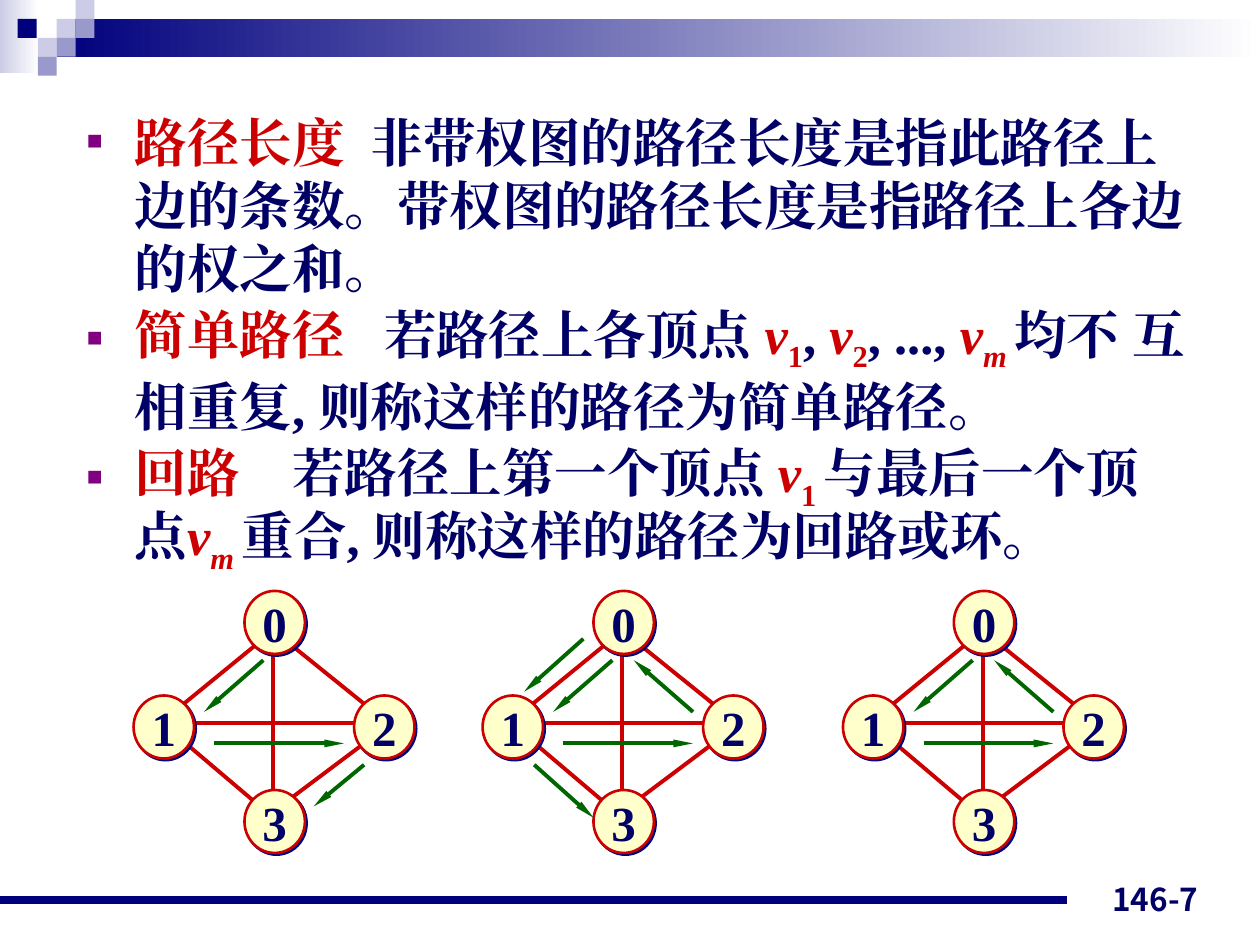
from typing import NamedTuple

from lxml.etree import SubElement
from pptx import Presentation
from pptx.dml.color import RGBColor
from pptx.enum.shapes import MSO_CONNECTOR, MSO_SHAPE
from pptx.enum.text import MSO_ANCHOR, PP_ALIGN
from pptx.oxml.ns import qn
from pptx.util import Inches, Pt

COLORS = {
    "navy": "00007D", "text": "000066", "red": "CC0000", "green": "006600",
    "cream": "FFFFCC", "pale": "CCCCE6", "mid": "9999CC", "white": "FFFFFF",
    "bullet": "800080",
}
SERIF = "Times New Roman"
SANS = "Noto Sans CJK JP"
TILE = 0.15
NODE_W, NODE_H = 0.48, 0.5


class Band(NamedTuple):
    x: float
    y: float
    w: float
    h: float
    start: str


class Tile(NamedTuple):
    x: float
    y: float
    color: str


class Segment(NamedTuple):
    x1: float
    y1: float
    x2: float
    y2: float


class Node(NamedTuple):
    label: str
    x: float
    y: float


class Span(NamedTuple):
    text: str
    color: str = "text"
    italic: bool = False
    sub: bool = False


class Entry(NamedTuple):
    term: str
    gap: float
    spans: list[Span]


class Graph(NamedTuple):
    dx: float
    arrows: list[Segment]


BANDS = [Band(0, 0, 0.31, 0.58, "pale"), Band(0.45, 0.15, 9.55, 0.3, "navy")]
TILES = [
    Tile(0.45, 0.15, "pale"), Tile(0.6, 0, "pale"), Tile(0.6, 0.15, "mid"),
    Tile(0.3, 0.3, "pale"), Tile(0.14, 0.15, "navy"), Tile(0.45, 0.3, "mid"),
    Tile(0.3, 0.45, "mid"),
]
V = Span("v", "red", italic=True)
M = Span("m ", "red", italic=True, sub=True)
ENTRIES = [
    Entry("路径长度", 7.5, [
        Span("非带权图的路径长度是指此路径上边的条数。带权图的路径长度是指路径上各边的权之和。"),
    ]),
    Entry("简单路径", 15, [
        Span("若路径上各顶点 "), V, Span("1", "red", sub=True), Span(", "),
        V, Span("2", "red", sub=True), Span(", ..., "), V, M,
        Span("均不 互相重复, 则称这样的路径为简单路径。"),
    ]),
    Entry("回路", 22.5, [
        Span("若路径上第一个顶点 "), V, Span("1 ", "red", sub=True),
        Span("与最后一个顶点"), V, M, Span("重合, 则称这样的路径为回路或环。"),
    ]),
]
NODES = [Node("1", 1.06, 5.52), Node("2", 2.81, 5.52),
         Node("0", 1.94, 4.69), Node("3", 1.94, 6.27)]
EDGES = [
    Segment(1.38, 5.82, 2.17, 6.49), Segment(2.25, 5.07, 2.97, 5.65),
    Segment(2.89, 5.9, 2.33, 6.32), Segment(2.09, 5.07, 1.38, 5.65),
    Segment(1.46, 5.74, 2.89, 5.74), Segment(2.17, 5.1, 2.17, 6.57),
]
FROM_0_TO_1 = Segment(2.09, 5.24, 1.62, 5.65)
FROM_1_TO_2 = Segment(1.7, 5.9, 2.73, 5.9)
FROM_2_TO_0 = Segment(2.73, 5.65, 2.26, 5.24)
GRAPHS = [
    Graph(0, [FROM_0_TO_1, FROM_1_TO_2, Segment(2.89, 6.07, 2.49, 6.4)]),
    Graph(2.77, [FROM_0_TO_1, FROM_1_TO_2, Segment(1.86, 5.07, 1.39, 5.49),
                 FROM_2_TO_0, Segment(1.47, 6.07, 1.94, 6.49)]),
    Graph(5.63, [FROM_0_TO_1, FROM_1_TO_2, FROM_2_TO_0]),
]


def rgb(name: str) -> RGBColor:
    return RGBColor.from_string(COLORS[name])


def style_font(font, size: float, color: str, name: str = SERIF) -> None:
    font.size = Pt(size)
    font.bold = True
    font.name = name
    font.color.rgb = rgb(color)


def set_east_asian(r, name: str) -> None:
    SubElement(r.font._element, qn("a:ea"), typeface=name)


def add_box(s, kind, x: float, y: float, w: float, h: float):
    sp = s.shapes.add_shape(kind, Inches(x), Inches(y), Inches(w), Inches(h))
    sp.shadow.inherit = False
    sp.line.fill.background()
    return sp


def add_band(s, band: Band) -> None:
    sp = add_box(s, MSO_SHAPE.RECTANGLE, band.x, band.y, band.w, band.h)
    sp.fill.gradient()
    sp.fill.gradient_angle = 0
    for stop, color in zip(sp.fill.gradient_stops, (band.start, "white")):
        stop.color.rgb = rgb(color)


def add_tile(s, tile: Tile) -> None:
    sp = add_box(s, MSO_SHAPE.RECTANGLE, tile.x, tile.y, TILE, TILE)
    sp.fill.solid()
    sp.fill.fore_color.rgb = rgb(tile.color)


def add_line(s, seg: Segment, color: str, width: float = 2.25,
             dx: float = 0, arrow: bool = False) -> None:
    c = s.shapes.add_connector(
        MSO_CONNECTOR.STRAIGHT, Inches(seg.x1 + dx), Inches(seg.y1),
        Inches(seg.x2 + dx), Inches(seg.y2))
    c.line.color.rgb = rgb(color)
    c.line.width = Pt(width)
    if arrow:
        SubElement(c.line._get_or_add_ln(), qn("a:tailEnd"),
                   type="triangle", w="sm", len="lg")
    SubElement(c._element.spPr, qn("a:effectLst"))


def add_node(s, node: Node, dx: float) -> None:
    sp = add_box(s, MSO_SHAPE.OVAL, node.x + dx, node.y, NODE_W, NODE_H)
    sp.fill.solid()
    sp.fill.fore_color.rgb = rgb("cream")
    sp.line.color.rgb = rgb("red")
    sp.line.width = Pt(1.5)
    effects = sp._element.spPr.find(qn("a:effectLst"))
    shadow = SubElement(effects, qn("a:outerShdw"), dist=str(Pt(1.4)),
                        dir="2700000", algn="ctr", rotWithShape="0")
    SubElement(shadow, qn("a:srgbClr"), val=COLORS["navy"])
    tf = sp.text_frame
    tf.margin_left = tf.margin_right = tf.margin_top = tf.margin_bottom = 0
    tf.word_wrap = False
    tf.vertical_anchor = MSO_ANCHOR.MIDDLE
    tf.text = node.label
    p = tf.paragraphs[0]
    p.alignment = PP_ALIGN.CENTER
    style_font(p.runs[0].font, 28, "text")


def add_span(p, span: Span):
    r = p.add_run()
    r.text = span.text
    style_font(r.font, 30, span.color)
    set_east_asian(r, SERIF)
    if span.italic:
        r.font.italic = True
    if span.sub:
        r.font._element.set("baseline", "-25000")
    return r


def add_entry(p, entry: Entry) -> None:
    pPr = p._p.get_or_add_pPr()
    pPr.set("marL", str(Inches(0.38)))
    pPr.set("indent", str(-Inches(0.38)))
    SubElement(SubElement(pPr, qn("a:buClr")), qn("a:srgbClr"), val=COLORS["bullet"])
    SubElement(pPr, qn("a:buSzPct"), val="50000")
    SubElement(pPr, qn("a:buFont"), typeface=SERIF)
    SubElement(pPr, qn("a:buChar"), char="■")
    p.line_spacing = Pt(36)
    add_span(p, Span(entry.term, "red"))
    gap = add_span(p, Span(" "))
    gap.font._element.set("spc", str(int(entry.gap * 100)))
    for span in entry.spans:
        add_span(p, span)


def add_definitions(s) -> None:
    tf = s.shapes.add_textbox(Inches(0.59), Inches(0.82), Inches(8.92), Inches(3.92)).text_frame
    tf.word_wrap = True
    for i, entry in enumerate(ENTRIES):
        p = tf.add_paragraph() if i else tf.paragraphs[0]
        add_entry(p, entry)
        if i:
            p.space_before = Pt(7)


def add_page_number(s) -> None:
    tf = s.shapes.add_textbox(Inches(7.28), Inches(6.83), Inches(2.33), Inches(0.5)).text_frame
    tf.word_wrap = True
    tf.vertical_anchor = MSO_ANCHOR.BOTTOM
    tf.text = "146-7"
    p = tf.paragraphs[0]
    p.alignment = PP_ALIGN.RIGHT
    style_font(p.runs[0].font, 18, "text", SANS)
    set_east_asian(p.runs[0], SANS)


def main() -> None:
    prs = Presentation()
    prs.slide_width, prs.slide_height = Inches(10), Inches(7.5)
    s = prs.slides.add_slide(prs.slide_layouts[6])
    for band in BANDS:
        add_band(s, band)
    for tile in TILES:
        add_tile(s, tile)
    add_line(s, Segment(0, 7.14, 8.47, 7.14), "navy", 4.5)
    add_page_number(s)
    add_definitions(s)
    for graph in GRAPHS:
        for edge in EDGES:
            add_line(s, edge, "red", dx=graph.dx)
        for node in NODES:
            add_node(s, node, graph.dx)
        for seg in graph.arrows:
            add_line(s, seg, "green", dx=graph.dx, arrow=True)
    prs.save("out.pptx")


if __name__ == "__main__":
    main()
